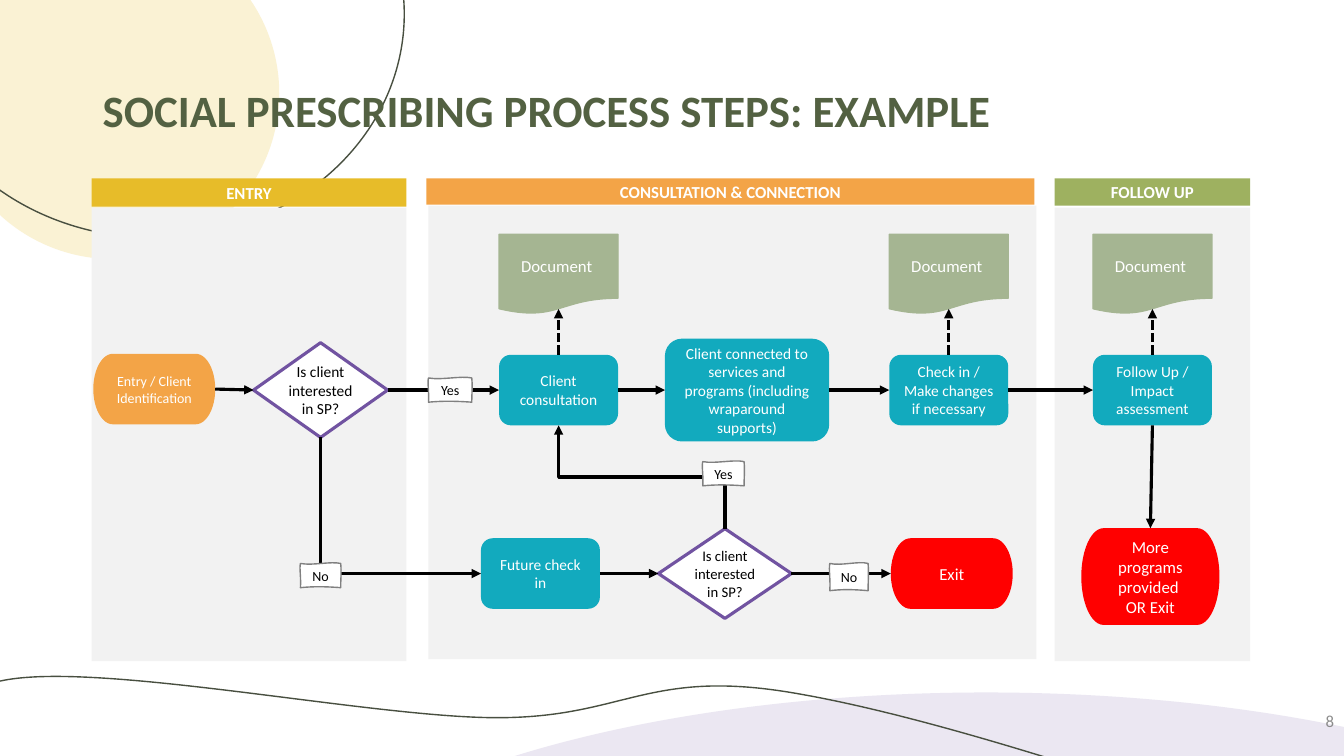
from lxml import etree
from pptx import Presentation
from pptx.dml.color import RGBColor
from pptx.enum.dml import MSO_LINE_DASH_STYLE as Dash
from pptx.enum.shapes import MSO_CONNECTOR_TYPE as Link, MSO_SHAPE as Shape
from pptx.enum.text import MSO_ANCHOR as Anchor, PP_ALIGN as Align
from pptx.oxml.ns import qn
from pptx.util import Inches, Pt

FONT = "Calibri"
WHITE, BLACK, INK = "FFFFFF", "000000", "484F40"
TEAL, ORANGE, RED, SAGE, PURPLE = "12AABE", "F3A447", "FF0000", "A5B592", "7153A1"
# Row centres, measured from the top of a region
DOCUMENT_ROW, MAIN_ROW, LOWER_ROW = 0.95, 2.10, 3.92
REGION_TOP, BODY_OFFSET, BODY_HEIGHT = 1.77, 0.29, 4.5
STEP = (1.18, 0.7)
QUESTION = "Is client interested in SP?"


def color(value):
    return RGBColor.from_string(value)


def paint(shape, fill=None, line=None, width=1.0):
    shape.shadow.inherit = False
    if fill:
        shape.fill.solid()
        shape.fill.fore_color.rgb = color(fill)
    else:
        shape.fill.background()
    if line:
        shape.line.color.rgb = color(line)
        shape.line.width = Pt(width)
    else:
        shape.line.fill.background()


def add_run(paragraph, text, size, ink, bold=False, font=FONT):
    run = paragraph.add_run()
    run.text = text
    run.font.name, run.font.size, run.font.bold = font, Pt(size), bold
    run.font.color.rgb = color(ink)


def write(shape, lines, size, ink=WHITE, bold=False, align=Align.CENTER, inset=None, wrap=True):
    frame = shape.text_frame
    frame.word_wrap = wrap
    frame.vertical_anchor = Anchor.MIDDLE
    if inset is not None:
        frame.margin_left = frame.margin_right = Inches(inset)
        frame.margin_top = frame.margin_bottom = Inches(inset)
    for index, line in enumerate(lines):
        paragraph = frame.add_paragraph() if index else frame.paragraphs[0]
        paragraph.alignment = align
        add_run(paragraph, line, size, ink, bold)
    return frame.paragraphs[0]


def add_box(slide, kind, box, fill=None, line=None, width=1.0):
    shape = slide.shapes.add_shape(kind, *map(Inches, box))
    paint(shape, fill, line, width)
    return shape


def add_node(slide, kind, center, size, fill, lines, points, ink=WHITE, line=None, inset=None):
    box = (center[0] - size[0] / 2, center[1] - size[1] / 2, *size)
    shape = add_box(slide, kind, box, fill, line, 2.25 if line == PURPLE else 1)
    write(shape, lines, points, ink, inset=inset)
    return shape


def add_step(slide, center, text, size=STEP):
    return add_node(slide, Shape.FLOWCHART_ALTERNATE_PROCESS, center, size, TEAL, [text], 11)


def add_question(slide, center, size, points):
    return add_node(slide, Shape.DIAMOND, center, size, WHITE, [QUESTION], points, BLACK, PURPLE, 0)


def add_end(slide, center, size, fill, lines, points):
    return add_node(slide, Shape.FLOWCHART_TERMINATOR, center, size, fill, lines, points)


def edge(shape, side):
    """Middle of one side of a shape, in inches."""
    across, down = {"left": (0, 0.5), "right": (1, 0.5), "top": (0.5, 0), "bottom": (0.5, 1)}[side]
    return ((shape.left + across * shape.width) / Inches(1),
            (shape.top + down * shape.height) / Inches(1))


def add_arrow(slide, start, end, kind=Link.STRAIGHT, dashed=False):
    connector = slide.shapes.add_connector(kind, *map(Inches, (*start, *end)))
    connector.line.color.rgb = color(BLACK)
    connector.line.width = Pt(2.25)
    if dashed:
        connector.line.dash_style = Dash.SQUARE_DOT
    etree.SubElement(connector.line._get_or_add_ln(), qn("a:tailEnd"), type="triangle")
    etree.SubElement(connector._element.spPr, qn("a:effectLst"))
    return connector


def add_upright_elbow(slide, start, end, preset):
    """Elbow that leaves its start vertically: drawn flat, then turned by 270 degrees."""
    middle_x, middle_y = (start[0] + end[0]) / 2, (start[1] + end[1]) / 2
    flat = [(middle_x - (y - middle_y), middle_y + (x - middle_x)) for x, y in (start, end)]
    properties = add_arrow(slide, *flat, kind=Link.ELBOW)._element.spPr
    properties.find(qn("a:xfrm")).set("rot", str(270 * 60000))
    properties.find(qn("a:prstGeom")).set("prst", preset)


def add_curve(slide, box, start, curves, closed=False):
    """Freeform of cubic curves inside a box; points are inches on the slide."""
    left, top, width, height = box
    builder = slide.shapes.build_freeform(Inches(left), Inches(top))
    builder.add_line_segments([(Inches(left + width), Inches(top + height))], close=False)
    shape = builder.convert_to_shape()
    outline = next(shape._element.iter(qn("a:path")))
    for child in list(outline):
        outline.remove(child)
    for tag, points in [("a:moveTo", [start])] + [("a:cubicBezTo", curve) for curve in curves]:
        segment = etree.SubElement(outline, qn(tag))
        for x, y in points:
            etree.SubElement(segment, qn("a:pt"), x=str(Inches(x - left)), y=str(Inches(y - top)))
    if closed:
        etree.SubElement(outline, qn("a:close"))
    return shape


def add_label(slide, box, text):
    """Answer tag with a slightly wavy, hand-drawn outline."""
    left, top, width, height = box
    sides = [((0.3, 0.1), (0.75, -0.1), (1, 0)), ((1.02, 0.4), (1, 0.6), (1, 1)),
             ((0.6, 0.95), (0.3, 0.95), (0, 1)), ((0.02, 0.6), (-0.03, 0.2), (0, 0))]
    curves = [[(left + x * width, top + y * height) for x, y in side] for side in sides]
    tag = add_curve(slide, box, (left, top), curves, closed=True)
    paint(tag, WHITE, "808080")
    write(tag, [text], 10, BLACK, inset=0, wrap=False)


def add_background(slide):
    add_box(slide, Shape.OVAL, (-0.53, -0.72, 3.3, 3.29), "FAF2D4")
    add_box(slide, Shape.OVAL, (2.56, 6.87, 14.44, 5.3), "EBE7F2")
    add_box(slide, Shape.OVAL, (-0.95, -2.08, 4.96, 4.44), line=INK)
    wave = add_curve(slide, (-1.49, 6.71, 15.14, 2.06), (13.56, 8.57), [
        ((11.43, 7.84), (9.29, 7.11), (7.84, 6.87)),
        ((6.39, 6.63), (6.18, 7.14), (4.86, 7.12)),
        ((3.55, 7.1), (0.82, 6.53), (-0.05, 6.77)),
        ((-0.92, 7.02), (-2.64, 8.3), (-0.36, 8.6)),
        ((1.92, 8.91), (7.78, 8.75), (13.65, 8.59))])
    paint(wave, line=INK)


def add_text(slide, box, text, size, ink, bold, align):
    shape = slide.shapes.add_textbox(*map(Inches, box))
    return write(shape, [text], size, ink, bold, align)


def add_region(slide, left, width, title, fill, header_height, nudge=0):
    """Header bar and grey panel; returns a function placing points inside them."""
    header = add_box(slide, Shape.RECTANGLE, (left, REGION_TOP, width, header_height), fill)
    write(header, [title], 12, bold=True)
    body = (left + nudge, REGION_TOP + BODY_OFFSET - nudge, width, BODY_HEIGHT)
    add_box(slide, Shape.RECTANGLE, body, "F2F2F2")
    return lambda across, row: (left + across, REGION_TOP + row)


def add_documented_step(slide, place, across, text):
    step = add_step(slide, place(across, MAIN_ROW), text)
    document = add_node(slide, Shape.FLOWCHART_DOCUMENT, place(across, DOCUMENT_ROW),
                        (1.18, 0.79), SAGE, ["Document"], 12, line=SAGE)
    add_run(document.text_frame.paragraphs[0], " ", 10, WHITE, True, "TeX Gyre Adventor")
    x, y = edge(document, "bottom")
    add_arrow(slide, edge(step, "top"), (x, y - 0.05), dashed=True)
    return step


def add_entry(slide, left, width):
    place = add_region(slide, left, width, "ENTRY", "E7BC29", 0.28)
    entry = add_end(slide, place(0.62, MAIN_ROW - 0.01), (1.21, 0.7), ORANGE,
                    ["Entry / Client Identification"], 10)
    question = add_question(slide, place(2.27, MAIN_ROW), (1.33, 0.94), 11)
    add_arrow(slide, edge(entry, "right"), edge(question, "left"))
    return question


def add_consultation(slide, left, width):
    place = add_region(slide, left, width, "CONSULTATION & CONNECTION", ORANGE, 0.26, 0.02)
    consultation = add_documented_step(slide, place, 1.31, "Client consultation")
    services = add_step(slide, place(3.18, MAIN_ROW), "Client connected to services and "
                        "programs (including wraparound supports)", (1.63, 1.02))
    check_in = add_documented_step(slide, place, 5.18, "Check in / Make changes if necessary")
    future = add_step(slide, place(1.13, LOWER_ROW), "Future check in")
    question = add_question(slide, place(2.96, LOWER_ROW), (1.32, 0.89), 10.5)
    leave = add_end(slide, place(5.21, LOWER_ROW), (1.21, 0.7), RED, ["Exit"], 12)
    row_links = [(consultation, services), (services, check_in), (future, question), (question, leave)]
    for source, target in row_links:
        add_arrow(slide, edge(source, "right"), edge(target, "left"))
    add_upright_elbow(slide, edge(question, "top"), edge(consultation, "bottom"), "bentConnector3")
    return consultation, check_in, future


def add_follow_up(slide, left, width):
    place = add_region(slide, left, width, "FOLLOW UP", "9EB160", 0.27)
    follow_up = add_documented_step(slide, place, 0.97, "Follow Up / Impact assessment")
    leave = add_end(slide, place(0.95, LOWER_ROW + 0.03), (1.37, 0.96), RED,
                    ["More programs provided ", "OR Exit"], 12)
    add_arrow(slide, edge(follow_up, "bottom"), edge(leave, "top"))
    return follow_up


def main():
    presentation = Presentation()
    presentation.slide_width, presentation.slide_height = Inches(13.33), Inches(7.5)
    slide = presentation.slides.add_slide(presentation.slide_layouts[6])
    add_background(slide)
    title = add_text(slide, (0.92, 0.4, 11.5, 1.45), "SOCIAL PRESCRIBING PROCESS STEPS: EXAMPLE",
                     32, "536142", True, Align.LEFT)
    title.line_spacing = 0.9
    add_text(slide, (10.33, 6.95, 3, 0.4), "8", 12, "8C8C8C", False, Align.RIGHT)
    # Regions
    question = add_entry(slide, 0.91, 3.12)
    consultation, check_in, future = add_consultation(slide, 4.23, 6.03)
    follow_up = add_follow_up(slide, 10.46, 1.94)
    # Links between regions
    add_arrow(slide, edge(question, "right"), edge(consultation, "left"))
    add_arrow(slide, edge(check_in, "right"), edge(follow_up, "left"))
    add_upright_elbow(slide, edge(question, "bottom"), edge(future, "left"), "bentConnector2")
    # Answers
    for box, text in [((4.25, 3.75, 0.43, 0.24), "Yes"), ((2.98, 5.59, 0.4, 0.24), "No"),
                      ((8.23, 5.59, 0.38, 0.27), "No"), ((6.97, 4.58, 0.41, 0.24), "Yes")]:
        add_label(slide, box, text)
    presentation.save("out.pptx")


if __name__ == "__main__":
    main()
